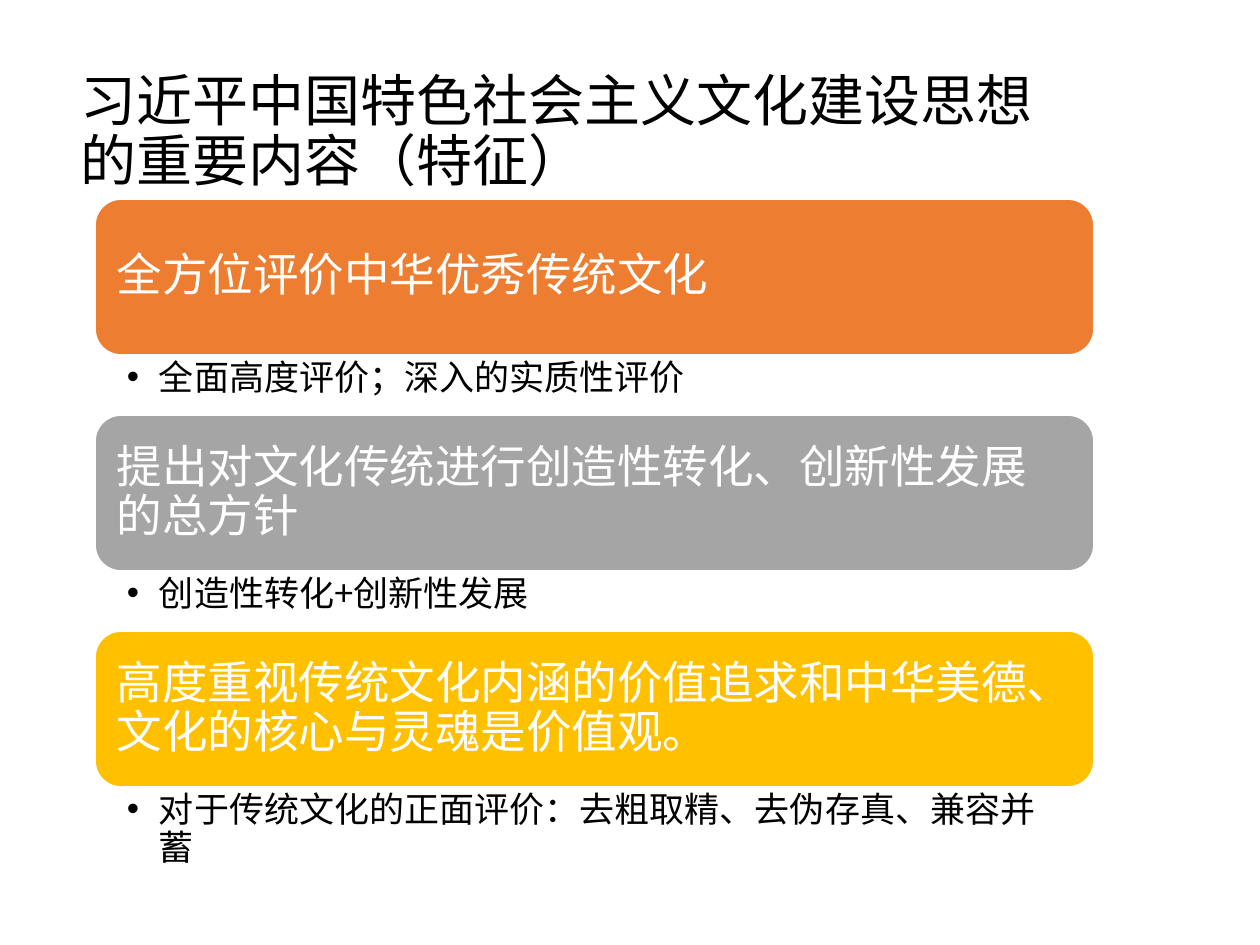
from dataclasses import dataclass
from lxml import etree
from pptx import Presentation
from pptx import util as u
from pptx.dml import color
from pptx.enum import shapes, text
from pptx.oxml import ns

SCALE = 914400 / 126


def px(n):
    return u.Emu(round(n * SCALE))


@dataclass
class Theme:
    font: str = "Noto Sans CJK SC"
    ink: str = "000000"
    paper: str = "FFFFFF"
    accents: tuple = ("ED7D31", "A5A5A5", "FFC000")
    title: int = 32
    heading: int = 26
    bullet: int = 20


class Deck:
    def __init__(self, theme, width, height):
        self.theme = theme
        self.prs = Presentation()
        self.prs.slide_width, self.prs.slide_height = px(width), px(height)
        self.s = self.prs.slides.add_slide(self.prs.slide_layouts[6])

    def set_text(self, sp, words, size, ink, insets, anchor):
        tf = sp.text_frame
        left, top, right, bottom = map(px, insets)
        frame = dict(word_wrap=True, vertical_anchor=anchor, margin_left=left,
                     margin_top=top, margin_right=right, margin_bottom=bottom)
        for name, value in frame.items():
            setattr(tf, name, value)
        p = tf.paragraphs[0]
        for name, value in dict(line_spacing=0.9, alignment=text.PP_ALIGN.LEFT).items():
            setattr(p, name, value)
        r = p.add_run()
        r.text = words
        for name, value in dict(size=u.Pt(size), name=self.theme.font).items():
            setattr(r.font, name, value)
        r.font.color.rgb = color.RGBColor.from_string(ink)
        ea = etree.SubElement(r.font._element, ns.qn("a:ea"))
        ea.set("typeface", self.theme.font)
        return p

    def textbox(self, box, words, size, insets, anchor):
        sp = self.s.shapes.add_textbox(*map(px, box))
        return self.set_text(sp, words, size, self.theme.ink, insets, anchor)

    def title(self, box, words):
        self.textbox(box, words, self.theme.title, (13, 6, 13, 6), text.MSO_ANCHOR.MIDDLE)

    def panel(self, box, words, fill):
        sp = self.s.shapes.add_shape(shapes.MSO_SHAPE.ROUNDED_RECTANGLE, *map(px, box))
        sp.shadow.inherit = False
        sp.fill.solid()
        sp.fill.fore_color.rgb = color.RGBColor.from_string(fill)
        sp.line.color.rgb = color.RGBColor.from_string(self.theme.paper)
        sp.line.width = u.Pt(1)
        self.set_text(sp, words, self.theme.heading, self.theme.paper,
                      (14, 14, 14, 14), text.MSO_ANCHOR.MIDDLE)

    def bullet(self, box, words):
        p = self.textbox(box, words, self.theme.bullet, (32, 5, 25, 5), text.MSO_ANCHOR.TOP)
        pPr = p._p.get_or_add_pPr()
        for name, value in dict(marL=px(32), indent=-px(32)).items():
            pPr.set(name, str(value))
        etree.SubElement(pPr, ns.qn("a:buFont")).set("typeface", "Arial")
        etree.SubElement(pPr, ns.qn("a:buChar")).set("char", "•")


LEFT, TOP, WIDTH = 95, 199, 999
PANEL_H, BULLET_H = 156, 60
POINTS = (
    ("全方位评价中华优秀传统文化", "全面高度评价；深入的实质性评价"),
    ("提出对文化传统进行创造性转化、创新性发展的总方针", "创造性转化+创新性发展"),
    ("高度重视传统文化内涵的价值追求和中华美德、文化的核心与灵魂是价值观。",
     "对于传统文化的正面评价：去粗取精、去伪存真、兼容并蓄"),
)

deck = Deck(Theme(), 1260, 945)
deck.title((67, 37, 999, 193), "习近平中国特色社会主义文化建设思想的重要内容（特征）")
for i, (heading, detail) in enumerate(POINTS):
    top = TOP + i * (PANEL_H + BULLET_H)
    deck.panel((LEFT, top, WIDTH, PANEL_H), heading, deck.theme.accents[i])
    deck.bullet((LEFT, top + PANEL_H, WIDTH, BULLET_H), detail)
deck.prs.save("out.pptx")
